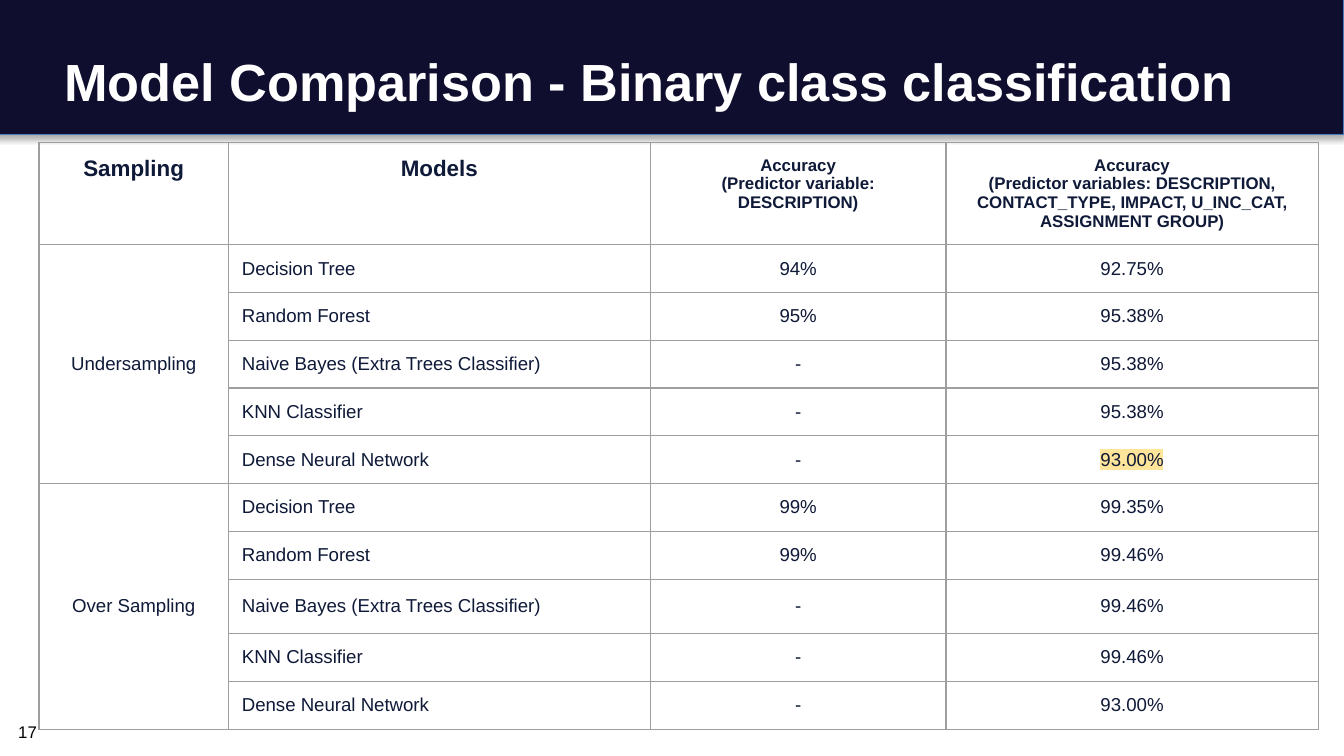
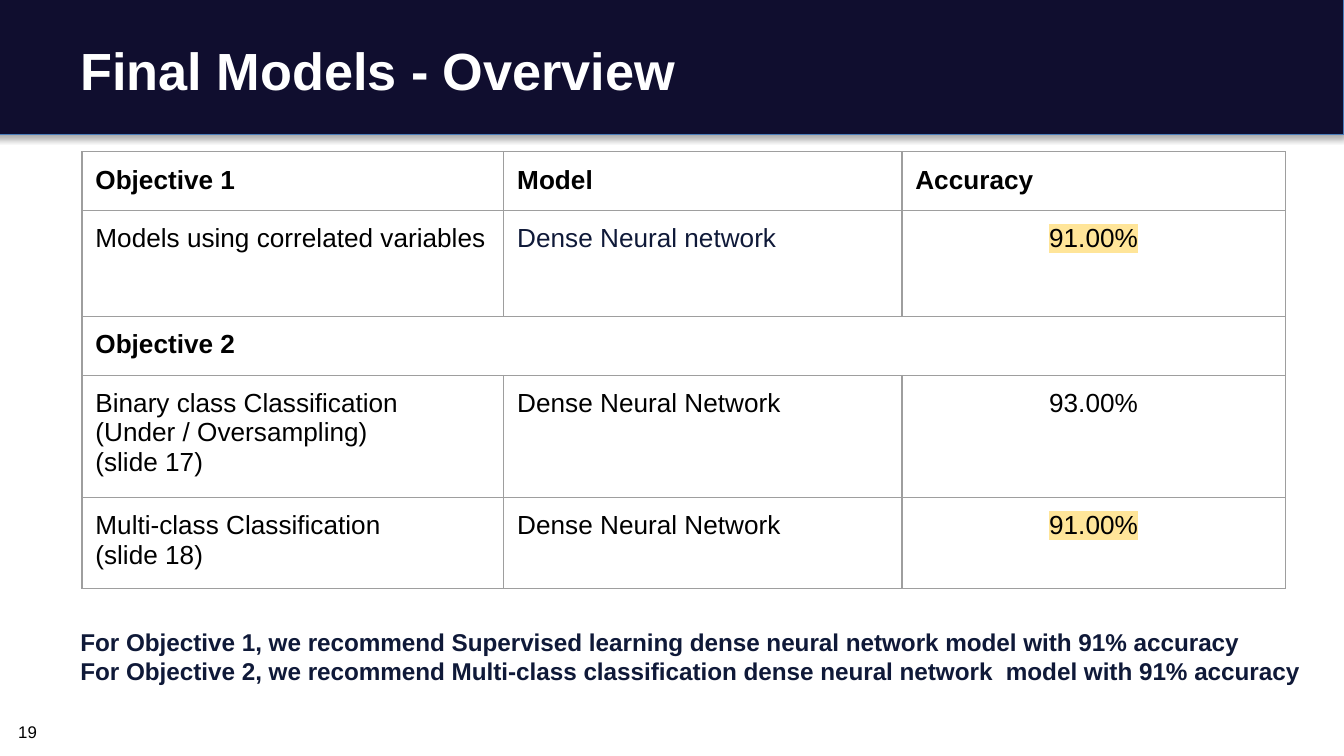
import dataclasses

import lxml.etree
import pptx
import pptx.dml.color
import pptx.enum.shapes
import pptx.enum.text
import pptx.oxml.ns
import pptx.slide
import pptx.text.text
import pptx.util

Pt = pptx.util.Pt
qn = pptx.oxml.ns.qn
Align = pptx.enum.text.PP_ALIGN
Anchor = pptx.enum.text.MSO_ANCHOR

FONT = "Arial"
BAND = "100E2F"
EDGE = "4A7DBA"
NAVY = "0F1938"
BLACK = "000000"
WHITE = "FFFFFF"
GRID = "9E9E9E"
MARK = "FFE599"


@dataclasses.dataclass(frozen=True)
class Box:
    left: float
    top: float
    width: float
    height: float


@dataclasses.dataclass(frozen=True)
class Look:
    size: float
    color: str = BLACK
    bold: bool = False
    align: Align = Align.LEFT
    anchor: Anchor = Anchor.TOP
    mark: bool = False


@dataclasses.dataclass(frozen=True)
class Cell:
    text: str
    look: Look
    rows: int = 1
    cols: int = 1


@dataclasses.dataclass(frozen=True)
class Grid:
    left: float
    top: float
    cols: list[float]
    rows: list[float]
    cells: dict[tuple[int, int], Cell]


TITLE = Look(28, WHITE, True, anchor=Anchor.MIDDLE)
PAGE = Look(9, align=Align.CENTER, anchor=Anchor.MIDDLE)
NOTE = Look(13, NAVY, True)


def rgb(color: str) -> pptx.dml.color.RGBColor:
    return pptx.dml.color.RGBColor.from_string(color)


def add_color(parent: lxml.etree._Element, color: str) -> lxml.etree._Element:
    return lxml.etree.SubElement(parent, qn("a:srgbClr"), val=color)


def place(shape, box: Box) -> None:
    shape.left, shape.top = Pt(box.left), Pt(box.top)
    shape.width, shape.height = Pt(box.width), Pt(box.height)


def style(frame: pptx.text.text.TextFrame, look: Look) -> None:
    for para in frame.paragraphs:
        para.alignment = look.align
        for run in para.runs:
            run.font.name = FONT
            run.font.size = Pt(look.size)
            run.font.bold = look.bold
            run.font.color.rgb = rgb(look.color)
            if look.mark:
                light = lxml.etree.Element(qn("a:highlight"))
                add_color(light, MARK)
                run._r.rPr.find(qn("a:solidFill")).addnext(light)


def fill_text(frame: pptx.text.text.TextFrame, text: str, look: Look,
              pad: float = 3.6, foot: float = 3.6) -> None:
    """Write text in a frame; pad is the top inset, foot the bottom one."""
    frame.text = text
    frame.word_wrap = True
    frame.auto_size = pptx.enum.text.MSO_AUTO_SIZE.NONE
    frame.vertical_anchor = look.anchor
    frame.margin_left = frame.margin_right = Pt(7.2)
    frame.margin_top, frame.margin_bottom = Pt(pad), Pt(foot)
    style(frame, look)


def add_band(slide: pptx.slide.Slide) -> None:
    """Draw the title band and hand it to the layout, behind all slides."""
    band = slide.shapes.add_shape(
        pptx.enum.shapes.MSO_SHAPE.RECTANGLE, 0, 0, 0, 0)
    place(band, Box(-2.88, -0.72, 722.88, 72.72))
    band.fill.solid()
    band.fill.fore_color.rgb = rgb(BAND)
    band.line.color.rgb = rgb(EDGE)
    band.line.width = Pt(0.75)
    band.shadow.inherit = False
    shade = lxml.etree.SubElement(
        band.element.spPr.find(qn("a:effectLst")), qn("a:outerShdw"),
        blurRad=str(Pt(3.1)), dist=str(Pt(1.8)), dir="5400000",
        rotWithShape="0")
    lxml.etree.SubElement(add_color(shade, BLACK), qn("a:alpha"), val="33000")
    slide.slide_layout.shapes.element.append(band.element)


def add_text(slide: pptx.slide.Slide, box: Box, text: str, look: Look,
             pad: float = 3.6) -> None:
    shape = slide.shapes.add_textbox(0, 0, 0, 0)
    place(shape, box)
    fill_text(shape.text_frame, text, look, pad, pad)


def add_slide(deck, title: str, box: Box, page: str,
              foot: float = 3.6) -> pptx.slide.Slide:
    slide = deck.slides.add_slide(deck.slide_layouts[5])
    place(slide.shapes.title, box)
    fill_text(slide.shapes.title.text_frame, title, TITLE, foot=foot)
    add_text(slide, Box(2.16, 382.3, 25.2, 19.4), page, PAGE)
    return slide


def add_lines(cell) -> None:
    """Give a table cell its four borders."""
    props = cell._tc.get_or_add_tcPr()
    for spot, side in enumerate(("a:lnL", "a:lnR", "a:lnT", "a:lnB")):
        line = lxml.etree.Element(qn(side), w=str(Pt(0.75)))
        add_color(lxml.etree.SubElement(line, qn("a:solidFill")), GRID)
        props.insert(spot, line)


def add_grid(slide: pptx.slide.Slide, grid: Grid) -> None:
    table = slide.shapes.add_table(
        len(grid.rows), len(grid.cols), Pt(grid.left), Pt(grid.top),
        Pt(sum(grid.cols)), Pt(sum(grid.rows))).table
    table.first_row = table.horz_banding = False
    for col, width in zip(table.columns, grid.cols):
        col.width = Pt(width)
    for row, height in zip(table.rows, grid.rows):
        row.height = Pt(height)
    for cell in table.iter_cells():
        cell.fill.background()
        add_lines(cell)
    for (row, col), item in grid.cells.items():
        cell = table.cell(row, col)
        if item.rows * item.cols > 1:
            cell.merge(table.cell(row + item.rows - 1, col + item.cols - 1))
        cell.text_frame.text = item.text
        cell.vertical_anchor = item.look.anchor
        cell.margin_left = cell.margin_right = Pt(7.2)
        cell.margin_top = cell.margin_bottom = Pt(7.2)
        style(cell.text_frame, item.look)


MODELS = ["Decision Tree", "Random Forest",
          "Naive Bayes (Extra Trees Classifier)",
          "KNN Classifier", "Dense Neural Network"]
SCORES = {
    "Undersampling": [("94%", "92.75%"), ("95%", "95.38%"), ("-", "95.38%"),
                      ("-", "95.38%"), ("-", "93.00%")],
    "Over Sampling": [("99%", "99.35%"), ("99%", "99.46%"), ("-", "99.46%"),
                      ("-", "99.46%"), ("-", "93.00%")],
}


def compare() -> Grid:
    head = Look(12, NAVY, True, Align.CENTER)
    small = dataclasses.replace(head, size=9)
    name = Look(10, NAVY, anchor=Anchor.MIDDLE)
    value = dataclasses.replace(name, align=Align.CENTER)
    best = dataclasses.replace(value, mark=True)
    cells = {
        (0, 0): Cell("Sampling", head),
        (0, 1): Cell("Models", head),
        (0, 2): Cell("Accuracy\n(Predictor variable: DESCRIPTION)", small),
        (0, 3): Cell("Accuracy\n(Predictor variables: DESCRIPTION, "
                     "CONTACT_TYPE, IMPACT, U_INC_CAT, ASSIGNMENT GROUP)",
                     small),
    }
    row = 1
    for group, scores in SCORES.items():
        cells[row, 0] = Cell(group, value, rows=len(scores))
        for model, (single, multi) in zip(MODELS, scores):
            cells[row, 1] = Cell(model, name)
            cells[row, 2] = Cell(single, value)
            cells[row, 3] = Cell(multi, best if row == 5 else value)
            row += 1
    heights = [54] + [25.5] * 7 + [29.2] + [25.5] * 2
    return Grid(20.88, 76.32, [101.5, 226, 158.4, 199.4], heights, cells)


def final() -> Grid:
    head = Look(14, bold=True)
    body = Look(14)
    navy = Look(14, NAVY)
    value = Look(14, align=Align.CENTER)
    best = dataclasses.replace(value, mark=True)
    cells = {(0, col): Cell(text, head) for col, text in
             enumerate(("Objective 1", "Model", "Accuracy"))}
    cells[2, 0] = Cell("Objective 2", head, cols=3)
    for row, task, model, look, score, tone in (
        (1, "Models using correlated variables",
         "Dense Neural network", navy, "91.00%", best),
        (3, "Binary class Classification\n(Under / Oversampling)\n(slide 17)",
         "Dense Neural Network", body, "93.00%", value),
        (4, "Multi-class Classification\n(slide 18)",
         "Dense Neural Network", body, "91.00%", best),
    ):
        cells[row, 0] = Cell(task, body)
        cells[row, 1] = Cell(model, look)
        cells[row, 2] = Cell(score, tone)
    return Grid(43.92, 81.36, [226, 213.3, 205.4],
                [31.5, 56.8, 31.5, 65.5, 48.7], cells)


def main() -> None:
    deck = pptx.Presentation()
    deck.slide_width, deck.slide_height = Pt(720), Pt(405)

    slide = add_slide(deck, "Model Comparison - Binary class classification",
                      Box(27.36, 9.36, 656.64, 67.68), "17")
    add_band(slide)
    add_grid(slide, compare())

    slide = add_slide(deck, "Final Models - Overview",
                      Box(36, 16.56, 659.52, 78.48), "19", foot=40.4)
    add_grid(slide, final())
    add_text(slide, Box(36, 329, 679, 46),
             "For Objective 1, we recommend Supervised learning dense neural "
             "network model with 91% accuracy\n"
             "For Objective 2, we recommend Multi-class classification dense "
             "neural network  model with 91% accuracy", NOTE, pad=7.2)
    deck.save("out.pptx")


if __name__ == "__main__":
    main()
